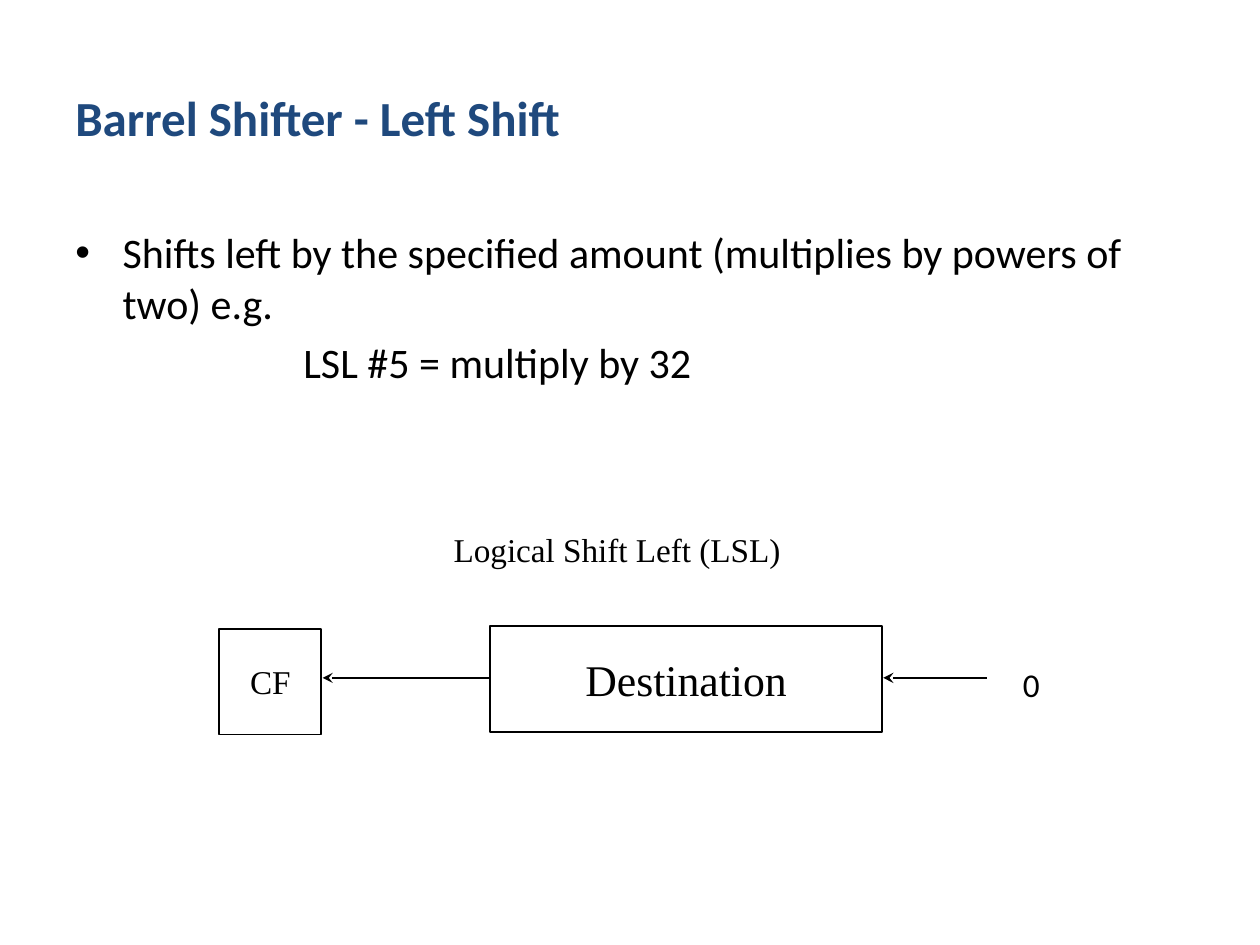
from dataclasses import dataclass
from lxml import etree
from pptx import Presentation, util as u
from pptx.dml.color import RGBColor
from pptx.enum import shapes, text
from pptx.oxml import ns


@dataclass(frozen=True)
class Theme:
    ink: str = "000000"
    heading: str = "1F497D"
    sans: str = "Calibri"
    serif: str = "Times New Roman"
    title_size: int = 28
    body_size: int = 24
    register_size: int = 25
    label_size: int = 19
    line_width: int = 1


THEME = Theme()
CELL = u.Inches(0.1)  # the slide is a grid of 100 columns by 75 rows


def cells(*counts):
    return [round(count * CELL) for count in counts]


def style(para, size, font, color=THEME.ink, bold=False):
    for span in para.runs:
        span.font.size = u.Pt(size)
        span.font.name = font
        span.font.bold = bold
        span.font.color.rgb = RGBColor.from_string(color)


def add_text(page, box, words, size, font, inset=(1, 0.5), wrap=True, **look):
    frame = page.shapes.add_textbox(*cells(*box)).text_frame
    frame.word_wrap = wrap
    frame.margin_left = frame.margin_right = cells(inset[0])[0]
    frame.margin_top = frame.margin_bottom = cells(inset[1])[0]
    frame.text = words
    for para in frame.paragraphs:
        style(para, size, font, **look)
    return frame


def add_register(page, box, name, size):
    register = page.shapes.add_shape(shapes.MSO_SHAPE.RECTANGLE, *cells(*box))
    register.shadow.inherit = False
    register.fill.background()
    register.line.color.rgb = RGBColor.from_string(THEME.ink)
    register.line.width = u.Pt(THEME.line_width)
    frame = register.text_frame
    frame.word_wrap = False
    frame.vertical_anchor = text.MSO_ANCHOR.MIDDLE
    frame.text = name
    frame.paragraphs[0].alignment = text.PP_ALIGN.CENTER
    style(frame.paragraphs[0], size, THEME.serif)


def add_arrow(page, start, end, row):
    arrow = page.shapes.add_connector(
        shapes.MSO_CONNECTOR.STRAIGHT, *cells(start, row, end, row))
    arrow.line.color.rgb = RGBColor.from_string(THEME.ink)
    arrow.line.width = u.Pt(THEME.line_width)
    head = etree.SubElement(arrow.line._get_or_add_ln(), ns.qn("a:tailEnd"))
    head.set("type", "stealth")
    etree.SubElement(arrow._element.spPr, ns.qn("a:effectLst"))


def add_title(page, box):
    frame = add_text(page, box, "Barrel Shifter - Left Shift", THEME.title_size,
                     THEME.sans, color=THEME.heading, bold=True)
    frame.vertical_anchor = text.MSO_ANCHOR.MIDDLE


def add_body(page, box):
    frame = add_text(
        page, box,
        "Shifts left by the specified amount (multiplies by powers of two) e.g.\n"
        "LSL #5 = multiply by 32", THEME.body_size, THEME.sans)
    point, example = frame.paragraphs
    for para, margin, indent in ((point, 3.75, -3.75), (example, 18.1, 0)):
        para.space_before = u.Pt(5)
        props = para._p.get_or_add_pPr()
        props.set("marL", str(cells(margin)[0]))
        props.set("indent", str(cells(indent)[0]))
    bullet_props = point._p.get_or_add_pPr()
    etree.SubElement(bullet_props, ns.qn("a:buFont")).set("typeface", "Arial")
    etree.SubElement(bullet_props, ns.qn("a:buChar")).set("char", "•")


def add_shift_diagram(page, box):
    left, top, width, height = box
    axis = top + 12.1
    # Caption and registers
    add_text(page, (left + 17.9, top, 33.5, 3.9), "Logical Shift Left (LSL)",
             THEME.label_size, THEME.serif, inset=(0.7, 0.3))
    add_register(page, (left, top + 8.2, 8.1, 8.4), "CF", THEME.label_size)
    add_register(page, (left + 21.5, top + 8, 31.1, 8.4), "Destination",
                 THEME.register_size)
    # Bits move leftwards, with zero coming in
    for start, end in ((21.4, 8.2), (60.9, 52.7)):
        add_arrow(page, left + start, left + end, axis)
    add_text(page, (left + width - 3.5, axis - 1.6, 3.5, 4.2), "0",
             THEME.label_size, THEME.sans, wrap=False)


deck = Presentation()
deck.slide_width, deck.slide_height = cells(100, 75)
page = deck.slides.add_slide(deck.slide_layouts[6])
add_title(page, (5, 3, 90, 12.5))
add_body(page, (5, 17.5, 90, 49.5))
add_shift_diagram(page, (17.4, 41.7, 66.3, 16.6))
deck.save("out.pptx")
